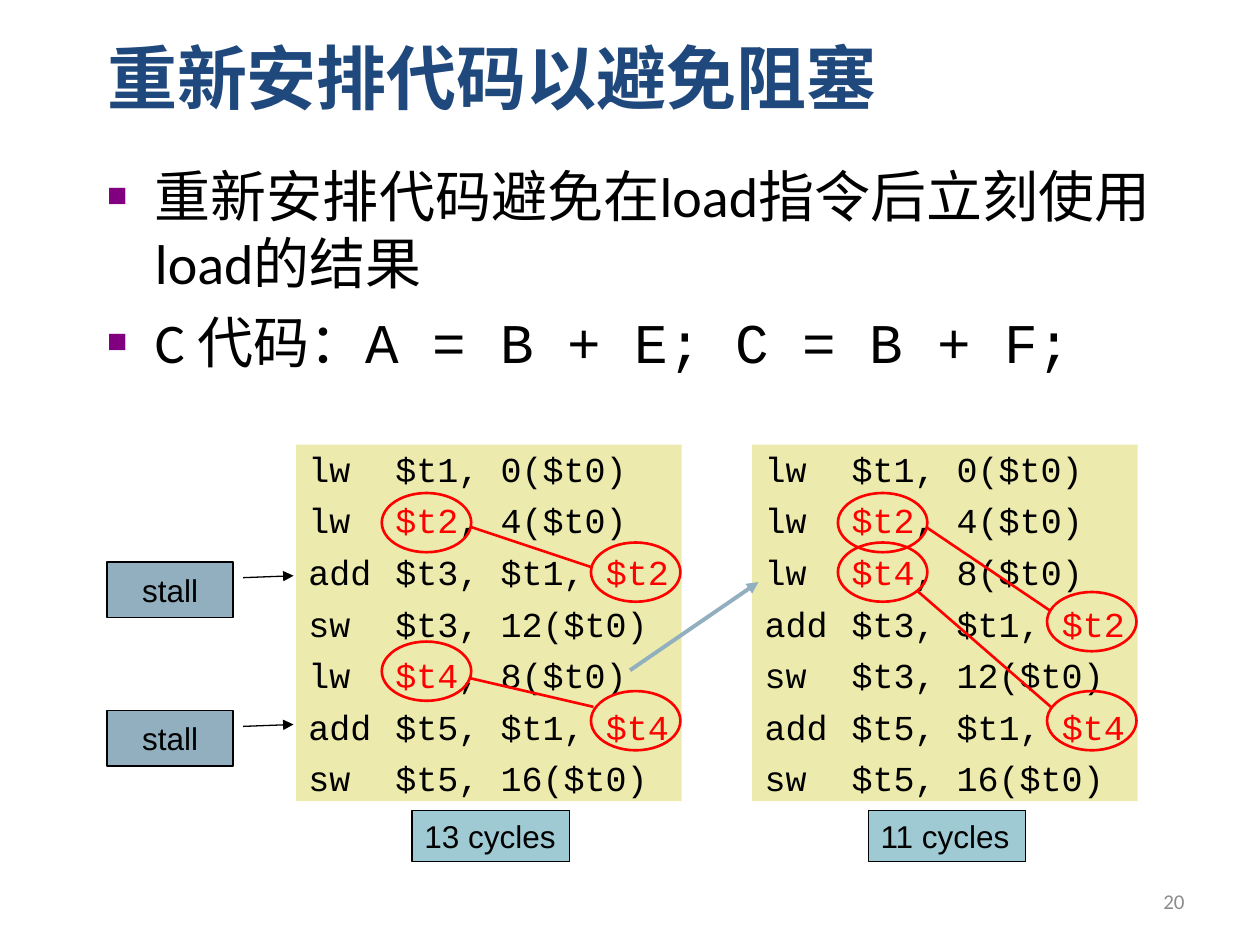
import pptx
import pptx.util
import pptx.dml.color
import pptx.enum.shapes
import pptx.enum.text
import pptx.oxml
import pptx.oxml.ns

Inches = pptx.util.Inches
Pt = pptx.util.Pt
RGB = pptx.dml.color.RGBColor
SHAPE = pptx.enum.shapes.MSO_SHAPE
ALIGN = pptx.enum.text.PP_ALIGN
ANCHOR = pptx.enum.text.MSO_ANCHOR

BLACK = RGB(0, 0, 0)
RED = RGB(0xFF, 0, 0)
NAVY = RGB(0x1F, 0x49, 0x7D)
GRAY = RGB(0x8C, 0x8C, 0x8C)
SAND = RGB(0xEC, 0xEA, 0xAC)
STEEL = RGB(0x91, 0xAF, 0xBF)
TEAL = RGB(0x9F, 0xCA, 0xD3)

LEFT, RIGHT = 2.35, 5.97  # left edges of the two code boxes
TOP, PITCH = 3.53, 0.393  # top of the code and height of a row

BEFORE = ["lw\t$t1, 0($t0)", "lw\t$t2, 4($t0)", "add\t$t3, $t1, $t2",
          "sw\t$t3, 12($t0)", "lw\t$t4, 8($t0)", "add\t$t5, $t1, $t4",
          "sw\t$t5, 16($t0)"]
# The second load moves up to the third row
AFTER = BEFORE[:2] + [BEFORE[4]] + BEFORE[2:4] + BEFORE[5:]


def add_xml(parent, tag, body="", attrs=""):
    ns = pptx.oxml.ns.nsdecls("a")
    parent.append(pptx.oxml.parse_xml(
        f"<a:{tag} {ns} {attrs}>{body}</a:{tag}>"))


def style(font, name, size, color, bold=False):
    font.name, font.size, font.bold = name, Pt(size), bold
    font.color.rgb = color


def add_run(para, text, name, size, color):
    run = para.add_run()
    run.text = text
    style(run.font, name, size, color)


def place(shape, left, top, width, height):
    shape.left, shape.top = Inches(left), Inches(top)
    shape.width, shape.height = Inches(width), Inches(height)


def add_box(slide, kind, left, top, width, height, fill=None, line=None,
            weight=0.75):
    box = slide.shapes.add_shape(kind, Inches(left), Inches(top),
                                 Inches(width), Inches(height))
    box.shadow.inherit = False
    if fill is None:
        box.fill.background()
    else:
        box.fill.solid()
        box.fill.fore_color.rgb = fill
    if line is None:
        box.line.fill.background()
    else:
        box.line.color.rgb = line
        box.line.width = Pt(weight)
    return box


def add_label(box, text, align, wrap):
    frame = box.text_frame
    frame.text = text
    frame.word_wrap = wrap
    frame.vertical_anchor = ANCHOR.MIDDLE
    para = frame.paragraphs[0]
    para.alignment = align
    style(para.runs[0].font, "Arial", 18, BLACK)


def add_line(slide, start, end, color, weight, arrow=False):
    line = slide.shapes.add_connector(
        pptx.enum.shapes.MSO_CONNECTOR.STRAIGHT,
        *(Inches(n) for n in start + end))
    line.line.color.rgb = color
    line.line.width = Pt(weight)
    if arrow:
        add_xml(line.line._get_or_add_ln(), "tailEnd", attrs='type="triangle"')
    add_xml(line._element.spPr, "effectLst")


def add_stall(slide, top):
    box = add_box(slide, SHAPE.LINE_CALLOUT_1, 0.85, top, 1, 0.44,
                  STEEL, BLACK)
    for i, value in enumerate((0.285, 1.08, 0.25, 1.48)):
        box.adjustments[i] = value
    add_xml(box.line._get_or_add_ln(), "tailEnd", attrs='type="triangle"')
    add_label(box, "stall", ALIGN.CENTER, True)


def add_code(slide, left, lines):
    box = add_box(slide, SHAPE.RECTANGLE, left, TOP, 3.06, 2.83, SAND)
    frame = box.text_frame
    frame.word_wrap = False
    frame.vertical_anchor = ANCHOR.MIDDLE
    for i, line in enumerate(lines):
        para = frame.paragraphs[0] if i == 0 else frame.add_paragraph()
        para.alignment = ALIGN.LEFT
        if i:
            para.space_before = Pt(5.5)
        add_xml(para._p.get_or_add_pPr(), "tabLst",
                f'<a:tab pos="{Inches(0.69)}" algn="l"/>')
        # Shared registers are red
        mark = next((reg for reg in ("$t2", "$t4") if reg in line), "")
        head, mark, tail = line.partition(mark) if mark else (line, "", "")
        for text, color in ((head, BLACK), (mark, RED), (tail, BLACK)):
            if text:
                add_run(para, text, "Courier New", 20, color)


def add_rings(slide, left, lines):
    for i, line in enumerate(lines):
        if "$t2" in line or "$t4" in line:
            shift = 0.68 if line.startswith("lw") else 2.34
            add_box(slide, SHAPE.OVAL, left + shift, TOP - 0.01 + PITCH * i,
                    0.71, 0.47, line=RED, weight=1.5)


def add_title(slide):
    title = slide.shapes.title
    place(title, 0.75, 0.22, 9.03, 0.77)
    frame = title.text_frame
    frame.text = "重新安排代码以避免阻塞"
    frame.auto_size = pptx.enum.text.MSO_AUTO_SIZE.NONE
    frame.vertical_anchor = ANCHOR.BOTTOM
    para = frame.paragraphs[0]
    para.alignment = ALIGN.LEFT
    style(para.runs[0].font, "Calibri", 40, NAVY, True)


def add_list(slide):
    body = slide.placeholders[1]
    place(body, 0.75, 1.23, 9.05, 2.02)
    frame = body.text_frame
    frame.auto_size = pptx.enum.text.MSO_AUTO_SIZE.NONE
    items = [[("重新安排代码避免在load指令后立刻使用load的结果", "Calibri")],
             [("C 代码：", "Calibri"),
              ("A = B + E; C = B + F;", "Courier New")]]
    for i, item in enumerate(items):
        para = frame.paragraphs[0] if i == 0 else frame.add_paragraph()
        para.space_before = Pt(6.5 if i else 0)
        props = para._p.get_or_add_pPr()
        props.set("marL", str(Inches(0.38)))
        props.set("indent", str(Inches(-0.38)))
        add_xml(props, "buClr", '<a:srgbClr val="800080"/>')
        add_xml(props, "buSzPct", attrs='val="60000"')
        add_xml(props, "buFont", attrs='typeface="Arial"')
        add_xml(props, "buChar", attrs='char="■"')
        for text, name in item:
            add_run(para, text, name, 32, BLACK)


def add_number(slide):
    box = slide.shapes.add_textbox(Inches(7.17), Inches(6.95),
                                   Inches(2.33), Inches(0.4))
    frame = box.text_frame
    frame.word_wrap = True
    frame.text = "20"
    frame.vertical_anchor = ANCHOR.MIDDLE
    para = frame.paragraphs[0]
    para.alignment = ALIGN.RIGHT
    style(para.runs[0].font, "Calibri", 12, GRAY)


def main():
    deck = pptx.Presentation()
    deck.slide_width, deck.slide_height = Inches(10), Inches(7.5)
    slide = deck.slides.add_slide(deck.slide_layouts[1])
    add_title(slide)
    add_list(slide)

    # Code before and after, with the stalls
    add_code(slide, LEFT, BEFORE)
    for top in (4.46, 5.64):
        add_stall(slide, top)
    add_code(slide, RIGHT, AFTER)

    # The moved load and the dependences
    add_line(slide, (5, 5.32), (6.02, 4.62), STEEL, 2.25, True)
    add_rings(slide, LEFT, BEFORE)
    add_rings(slide, RIGHT, AFTER)
    for start, end in (((3.73, 4.18), (4.69, 4.5)),
                       ((3.72, 5.38), (4.71, 5.61)),
                       ((7.36, 4.19), (8.34, 4.85)),
                       ((7.28, 4.69), (8.34, 5.61))):
        add_line(slide, start, end, RED, 1.5)

    # Cycle counts
    for left, text in ((RIGHT, "11 cycles"), (LEFT, "13 cycles")):
        box = add_box(slide, SHAPE.RECTANGLE, left + 0.92, 6.43, 1.25, 0.41,
                      TEAL, BLACK)
        add_label(box, text, ALIGN.LEFT, False)
    add_number(slide)
    deck.save("out.pptx")


if __name__ == "__main__":
    main()
